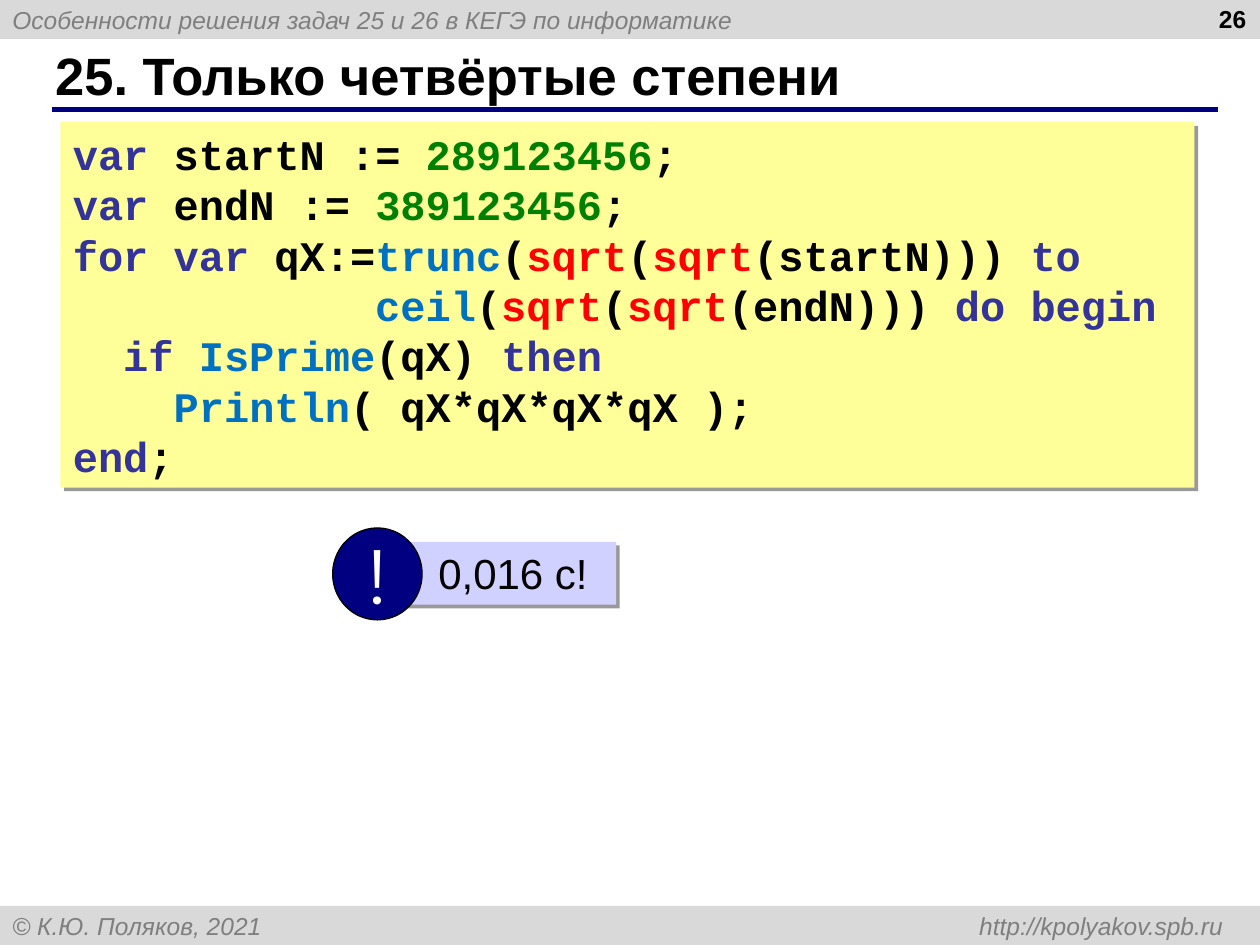
from collections import namedtuple

from lxml.etree import SubElement
from pptx import Presentation
from pptx.dml.color import RGBColor
from pptx.enum.shapes import MSO_CONNECTOR as Connector, MSO_SHAPE as Preset
from pptx.enum.text import MSO_ANCHOR as Anchor, MSO_AUTO_SIZE as AutoSize, PP_ALIGN as Align
from pptx.oxml.ns import qn
from pptx.util import Inches, Pt

COLORS = {
    "bar": "D9D9D9", "muted": "7F7F7F", "navy": "000080", "black": "000000",
    "white": "FFFFFF", "code": "FFFF99", "note": "D1D1FF",
    "keyword": "333399", "number": "008000", "call": "0070C0", "root": "FF0000",
}
COLS, ROWS = 1000, 750
UNIT = Inches(10) // COLS
CHAR_COLS = 20  # one 24 pt monospaced character

Box = namedtuple("Box", "col row cols rows")

# Each line: indent in characters, then pieces of text with their colour
CODE = [
    (0, [("var", "keyword"), (" startN := ", "black"), ("289123456", "number"), (";", "black")]),
    (0, [("var", "keyword"), (" endN := ", "black"), ("389123456", "number"), (";", "black")]),
    (0, [("for var ", "keyword"), ("qX:=", "black"), ("trunc", "call"), ("(", "black"),
         ("sqrt", "root"), ("(", "black"), ("sqrt", "root"), ("(startN))) ", "black"),
         ("to", "keyword")]),
    (12, [("ceil", "call"), ("(", "black"), ("sqrt", "root"), ("(", "black"),
          ("sqrt", "root"), ("(endN))) ", "black"), ("do begin", "keyword")]),
    (2, [("if ", "keyword"), ("IsPrime", "call"), ("(qX) ", "black"), ("then", "keyword")]),
    (4, [("Println", "call"), ("( qX*qX*qX*qX );", "black")]),
    (0, [("end", "keyword"), (";", "black")]),
]


def color(name):
    return RGBColor.from_string(COLORS[name])


def inside(box, col, row, cols, rows):
    """Box whose place is counted from the corner of another box."""
    return Box(box.col + col, box.row + row, cols, rows)


def lengths(box):
    return [round(part * UNIT) for part in box]


def add_panel(shapes, box, fill, preset=Preset.RECTANGLE, line=None, shadow=False):
    panel = shapes.add_shape(preset, *lengths(box))
    panel.shadow.inherit = False
    panel.fill.solid()
    panel.fill.fore_color.rgb = color(fill)
    if line:
        panel.line.color.rgb = color(line)
        panel.line.width = Pt(0.75)
    else:
        panel.line.fill.background()
    if shadow:
        effects = panel._element.spPr.find(qn("a:effectLst"))
        outer = SubElement(effects, qn("a:outerShdw"), dist=str(Pt(3)),
                           dir=str(45 * 60000), algn="ctr", rotWithShape="0")
        tint = SubElement(outer, qn("a:srgbClr"), val=COLORS["black"])
        SubElement(tint, qn("a:alpha"), val="40000")
    return panel


def add_span(para, text, size=14, font="Arial", ink="black", bold=False, italic=False):
    span = para.add_run()
    span.text = text
    span.font.size = Pt(size)
    span.font.name = font
    span.font.bold = bold
    span.font.italic = italic
    span.font.color.rgb = color(ink)


def write(shape, text, anchor=Anchor.MIDDLE, align=Align.LEFT, wrap=True, **style):
    """Put one paragraph in a shape and return it."""
    frame = shape.text_frame
    frame.word_wrap = wrap
    frame.vertical_anchor = anchor
    para = frame.paragraphs[0]
    para.alignment = align
    add_span(para, text, **style)
    return para


def set_indent(para, cols):
    para._p.get_or_add_pPr().set("marL", str(cols * UNIT))


def add_bar(page, box, text, right_tab=None):
    bar = add_panel(page.shapes, box, "bar")
    para = write(bar, text, ink="muted", italic=True)
    if right_tab:
        tabs = SubElement(para._p.get_or_add_pPr(), qn("a:tabLst"))
        SubElement(tabs, qn("a:tab"), pos=str(right_tab * UNIT), algn="r")


def add_heading(page, box, title):
    label = page.shapes.add_textbox(*lengths(inside(box, -7, 0, 916, 52)))
    write(label, title, size=30, bold=True)
    left, top, width, height = lengths(box)
    rule = page.shapes.add_connector(Connector.STRAIGHT, left, top + height,
                                     left + width, top + height)
    rule.line.color.rgb = color("navy")
    rule.line.width = Pt(3)
    SubElement(rule._element.spPr, qn("a:effectLst"))


def add_page_number(page, box, number):
    label = page.shapes.add_textbox(*lengths(box))
    write(label, number, anchor=Anchor.TOP, align=Align.RIGHT, bold=True)


def add_code(page, box, lines):
    frame = add_panel(page.shapes, box, "code", shadow=True).text_frame
    frame.word_wrap = True
    frame.auto_size = AutoSize.SHAPE_TO_FIT_TEXT
    frame.vertical_anchor = Anchor.TOP
    for index, (indent, pieces) in enumerate(lines):
        para = frame.add_paragraph() if index else frame.paragraphs[0]
        para.alignment = Align.LEFT
        set_indent(para, indent * CHAR_COLS)
        for text, ink in pieces:
            add_span(para, text, size=24, font="Courier New", ink=ink, bold=True)


def add_callout(page, box, text):
    """Note with a round exclamation badge over its left end."""
    group = page.shapes.add_group_shape()
    note = add_panel(group.shapes, inside(box, 55, 11, box.cols - 55, 50), "note", shadow=True)
    set_indent(write(note, text, anchor=Anchor.TOP, size=24), 19)
    badge = add_panel(group.shapes, inside(box, 0, 0, 71, box.rows), "navy",
                      preset=Preset.OVAL, line="black")
    write(badge, "!", align=Align.CENTER, wrap=False, size=44, font="Montserrat", ink="white")


def main():
    deck = Presentation()
    deck.slide_width, deck.slide_height = COLS * UNIT, ROWS * UNIT
    page = deck.slides.add_slide(deck.slide_layouts[6])
    bar_rows = 31
    add_bar(page, Box(0, 0, COLS, bar_rows),
            "Особенности решения задач 25 и 26 в КЕГЭ по информатике")
    add_bar(page, Box(0, ROWS - bar_rows, COLS, bar_rows),
            "© К.Ю. Поляков, 2021\thttp://kpolyakov.spb.ru", right_tab=961)
    add_heading(page, Box(41, 33, 926, 54), "25. Только четвёртые степени")
    add_page_number(page, Box(766, -2, 233, 52), "26")
    add_code(page, Box(48, 97, 900, 290), CODE)
    add_callout(page, Box(264, 419, 225, 73), "0,016 с!")
    deck.save("out.pptx")


if __name__ == "__main__":
    main()
